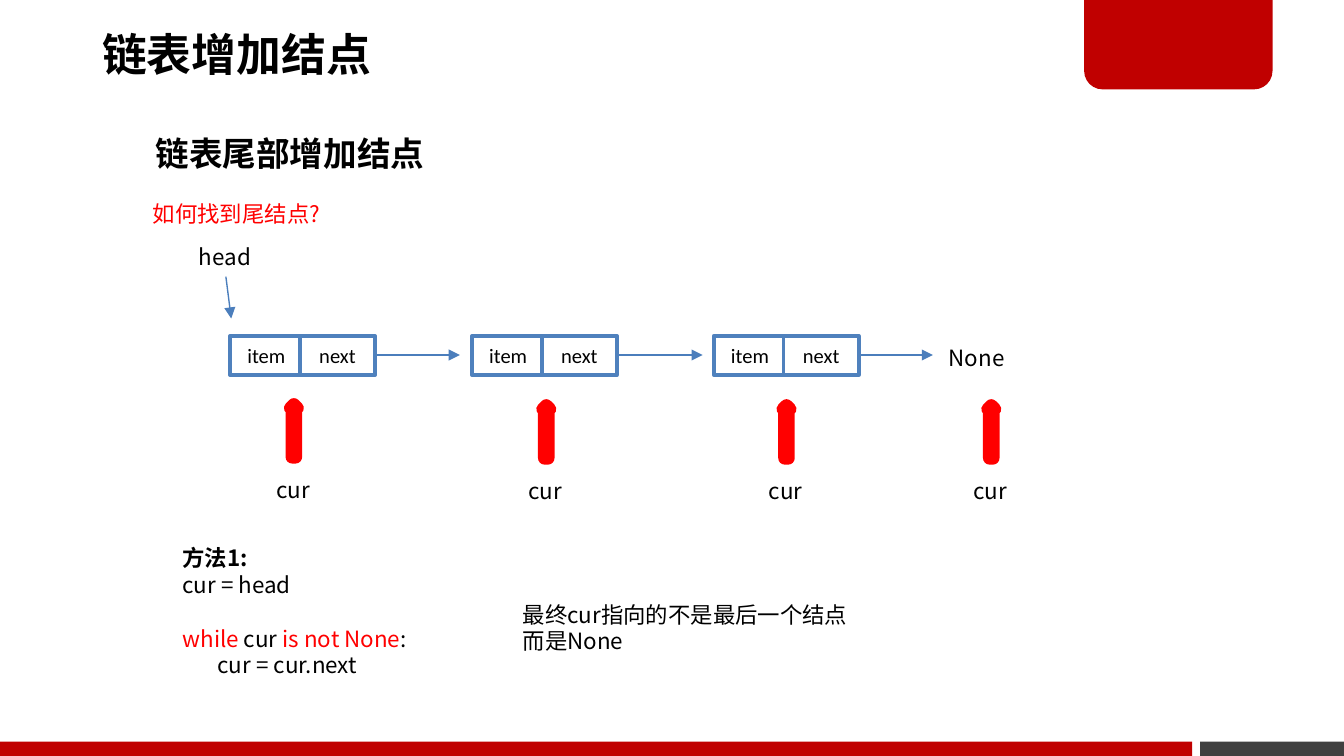
"""Build the slide on adding a node at the tail of a linked list."""
from typing import NamedTuple

from pptx import Presentation
from pptx import util as u
from pptx.dml.color import RGBColor
from pptx.enum import shapes, text
from pptx.oxml.ns import qn

RED = RGBColor(0xC0, 0x00, 0x00)
HOT = RGBColor(0xFF, 0x00, 0x00)
GRAY = RGBColor(0x40, 0x40, 0x40)
BLUE = RGBColor(0x4F, 0x81, 0xBD)
LINK = RGBColor(0x4B, 0x7E, 0xBC)
BLACK = RGBColor(0x00, 0x00, 0x00)
WHITE = RGBColor(0xFF, 0xFF, 0xFF)
SANS = "Noto Sans CJK SC"
KIND = shapes.MSO_SHAPE


class Box(NamedTuple):
    left: float
    top: float
    width: float
    height: float

    def cm(self) -> list:
        return [u.Cm(side) for side in self]


class Run(NamedTuple):
    text: str
    color: RGBColor = BLACK
    bold: bool = False


class Node(NamedTuple):
    left: float
    tip: float


class Mark(NamedTuple):
    left: float
    top: float


def write(frame, lines: list, size=12, font=SANS, align=text.PP_ALIGN.LEFT,
          anchor=text.MSO_ANCHOR.TOP, wrap=True, gaps=None, lead=None) -> None:
    frame.word_wrap = wrap
    frame.auto_size = text.MSO_AUTO_SIZE.NONE
    frame.vertical_anchor = anchor
    for i, line in enumerate(lines):
        para = frame.paragraphs[0] if i == 0 else frame.add_paragraph()
        para.alignment = align
        para.space_before = u.Pt((gaps or {}).get(i, 0))
        if lead:
            para.line_spacing = lead
        for part in line:
            run = para.add_run()
            run.text = part.text
            run.font.size = u.Pt(size)
            run.font.bold = part.bold
            run.font.color.rgb = part.color
            run.font.name = font
            east = run.font._element.makeelement(qn("a:ea"), {"typeface": font})
            run.font._element.append(east)


def label(slide, box: Box, lines: list, **style) -> None:
    write(slide.shapes.add_textbox(*box.cm()).text_frame, lines, **style)


def shape(slide, kind, box: Box, fill=None, line=None, width=2):
    item = slide.shapes.add_shape(kind, *box.cm())
    item.shadow.inherit = False
    if fill is None:
        item.fill.background()
    else:
        item.fill.solid()
        item.fill.fore_color.rgb = fill
    if line is None:
        item.line.fill.background()
    else:
        item.line.color.rgb = line
        item.line.width = u.Pt(width)
    return item


def arrow(slide, x: float, y: float, tox: float, toy: float) -> None:
    ends = [u.Cm(side) for side in (x, y, tox, toy)]
    link = slide.shapes.add_connector(shapes.MSO_CONNECTOR.STRAIGHT, *ends)
    link.line.color.rgb = LINK
    link.line.width = u.Pt(0.75)
    line = link.line._get_or_add_ln()
    line.append(line.makeelement(qn("a:tailEnd"), {"type": "triangle"}))
    props = link._element.spPr
    props.append(props.makeelement(qn("a:effectLst"), {}))


def node(slide, spec: Node) -> None:
    arrow(slide, spec.left + 2.74, 6.71, spec.tip, 6.71)
    for word, shift, width in (("item", 0, 1.37), ("next", 1.32, 1.42)):
        box = Box(spec.left + shift, 6.35, width, 0.74)
        cell = shape(slide, KIND.RECTANGLE, box, WHITE, BLUE)
        write(cell.text_frame, [[Run(word)]], size=11, font="Calibri",
              align=text.PP_ALIGN.CENTER, anchor=text.MSO_ANCHOR.MIDDLE)


def cursor(slide, mark: Mark) -> None:
    shape(slide, KIND.UP_ARROW, Box(*mark, 0.13, 0.99), line=HOT, width=7)
    label(slide, Box(mark.left - 0.52, mark.top + 1.22, 1.14, 0.76),
          [[Run("cur")]], wrap=False)


def frame(slide) -> None:
    shape(slide, KIND.RECTANGLE, Box(22.68, 14.02, 2.72, 0.27), GRAY)
    shape(slide, KIND.RECTANGLE, Box(0, 14.02, 22.53, 0.27), RED)
    tab = shape(slide, KIND.ROUND_2_SAME_RECTANGLE, Box(20.49, -0.05, 3.56, 1.74), RED)
    tab.adjustments[0] = 0
    tab.adjustments[1] = 0.2


def title(slide) -> None:
    head = slide.shapes.title
    head.left, head.top, head.width, head.height = Box(1.75, -0.05, 14.96, 2.26).cm()
    body = head.text_frame
    body.margin_left = body.margin_right = u.Cm(0.18)
    body.margin_top = body.margin_bottom = u.Cm(0.1)
    write(body, [[Run("链表增加结点", bold=True)]], size=24, lead=0.9,
          anchor=text.MSO_ANCHOR.MIDDLE)


def main() -> None:
    deck = Presentation()
    deck.slide_width, deck.slide_height = u.Cm(25.4), u.Cm(14.29)
    slide = deck.slides.add_slide(deck.slide_layouts[5])
    frame(slide)
    title(slide)
    label(slide, Box(2.69, 2.39, 5.64, 1.8),
          [[Run("链表尾部增加结点", bold=True)]], size=18, wrap=False)
    label(slide, Box(2.64, 3.66, 3.71, 0.76), [[Run("如何找到尾结点?", HOT)]])
    label(slide, Box(3.51, 4.47, 1.52, 0.76), [[Run("head")]], wrap=False)
    arrow(slide, 4.27, 5.23, 4.37, 6.02)

    for i, tip in enumerate((8.69, 13.28, 17.63)):
        node(slide, Node(4.35 + 4.57 * i, tip))
    label(slide, Box(17.68, 6.38, 1.63, 0.76), [[Run("None")]], wrap=False)

    for mark in (Mark(5.49, 7.65), Mark(10.26, 7.67),
                 Mark(14.8, 7.67), Mark(18.67, 7.67)):
        cursor(slide, mark)

    label(slide, Box(3.2, 10.16, 4.95, 3.33), [
        [Run("方法1:", bold=True)],
        [Run("cur = head")],
        [Run("while ", HOT), Run("cur "), Run("is not None", HOT), Run(":")],
        [Run("       cur = cur.next")],
    ], gaps={2: 14.4})
    label(slide, Box(9.63, 11.23, 7.75, 1.27),
          [[Run("最终cur指向的不是最后一个结点")], [Run("而是None")]])
    deck.save("out.pptx")


if __name__ == "__main__":
    main()
